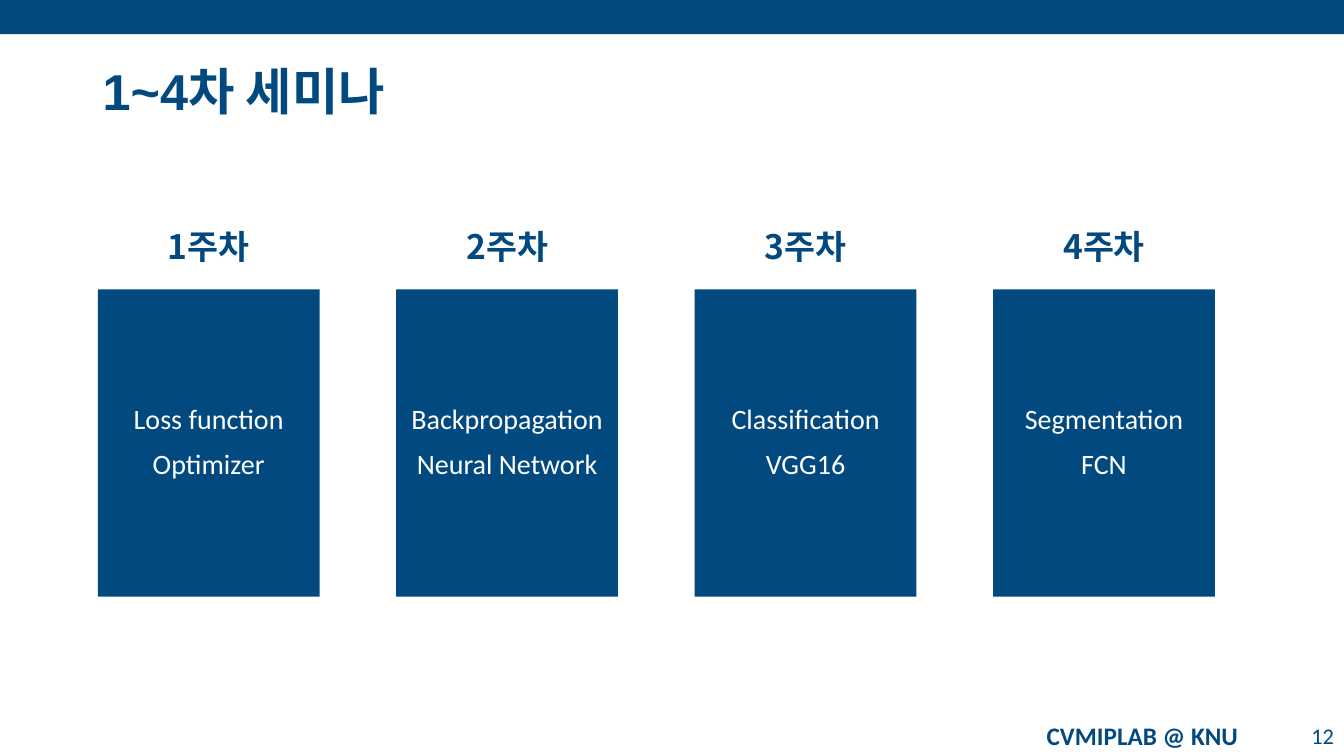
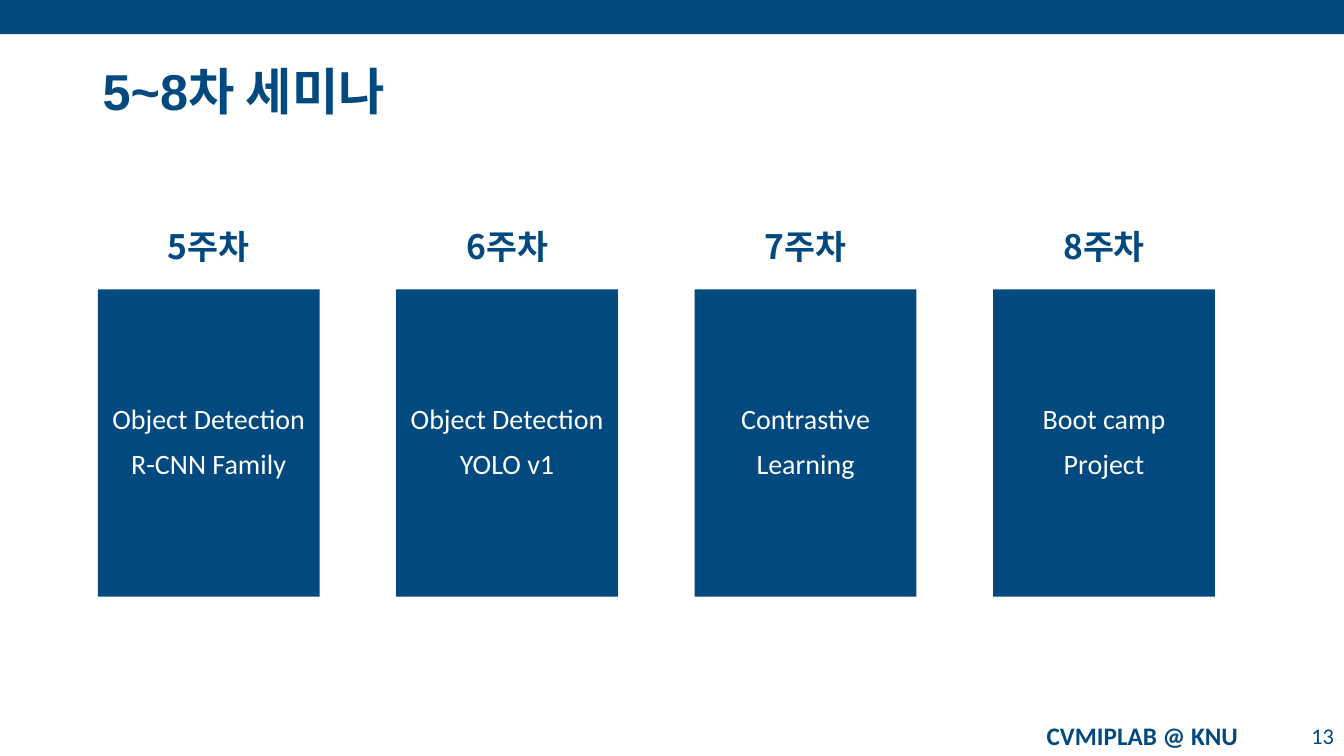
from dataclasses import dataclass

from lxml.etree import SubElement
from pptx import Presentation
from pptx.dml.color import RGBColor
from pptx.enum.shapes import MSO_SHAPE
from pptx.enum.text import MSO_ANCHOR, PP_ALIGN
from pptx.oxml.ns import qn
from pptx.shapes.autoshape import Shape
from pptx.slide import Slide
from pptx.util import Inches, Pt

COLORS = {"navy": "02497F", "white": "FFFFFF"}
KOREAN_FONT = "Noto Sans CJK KR"
SLIDE_WIDTH, SLIDE_HEIGHT = 13.33, 7.5
GRID_LEFT, COLUMN_WIDTH, COLUMN_GAP = 0.97, 2.2, 0.76
LABEL_TOP, LABEL_HEIGHT = 2.09, 0.71
CARD_TOP, CARD_HEIGHT = 2.87, 3.05
FOOTER_TOP, FOOTER_HEIGHT = 7.1, 0.4


@dataclass(frozen=True)
class Area:
    left: float
    top: float
    width: float
    height: float

    def emu(self) -> tuple[int, int, int, int]:
        """Return the four lengths in drawing units."""
        return Inches(self.left), Inches(self.top), Inches(self.width), Inches(self.height)


@dataclass(frozen=True)
class TextStyle:
    size: int
    font: str = "Calibri"
    color: str = "navy"
    bold: bool = False
    align: PP_ALIGN = PP_ALIGN.CENTER
    line_spacing: float = 1.0
    paragraph_gap: int = 0


@dataclass(frozen=True)
class Seminar:
    title: str
    page: int
    first_week: int
    topics: tuple[str, ...]


TITLE = TextStyle(36, "Arial", bold=True, align=PP_ALIGN.LEFT, line_spacing=0.9)
WEEK = TextStyle(24, KOREAN_FONT, bold=True)
TOPIC = TextStyle(20, color="white", line_spacing=0.9, paragraph_gap=10)
LAB = TextStyle(18, bold=True)
PAGE = TextStyle(16, align=PP_ALIGN.RIGHT)

SEMINARS = (
    Seminar("1~4차 세미나", 12, 1, (
        "Loss function\nOptimizer",
        "Backpropagation\nNeural Network",
        "Classification\nVGG16",
        "Segmentation\nFCN",
    )),
    Seminar("5~8차 세미나", 13, 5, (
        "Object Detection\nR-CNN Family",
        "Object Detection\nYOLO v1",
        "Contrastive\nLearning",
        "Boot camp\nProject",
    )),
)


def write(shape: Shape, text: str, style: TextStyle) -> None:
    """Fill a shape with vertically centred, styled text."""
    frame = shape.text_frame
    frame.text = text
    frame.word_wrap = True
    frame.vertical_anchor = MSO_ANCHOR.MIDDLE
    for index, paragraph in enumerate(frame.paragraphs):
        paragraph.alignment = style.align
        paragraph.line_spacing = style.line_spacing
        paragraph.space_before = Pt(style.paragraph_gap if index else 0)
        for run in paragraph.runs:
            run.font.size = Pt(style.size)
            run.font.bold = style.bold
            run.font.color.rgb = RGBColor.from_string(COLORS[style.color])
            run.font.name = style.font
            SubElement(run.font._element, qn("a:ea"), typeface=KOREAN_FONT)


def add_text(slide: Slide, area: Area, text: str, style: TextStyle) -> None:
    """Add a text box."""
    write(slide.shapes.add_textbox(*area.emu()), text, style)


def add_block(slide: Slide, area: Area) -> Shape:
    """Add a plain navy rectangle."""
    block = slide.shapes.add_shape(MSO_SHAPE.RECTANGLE, *area.emu())
    block.shadow.inherit = False
    block.fill.solid()
    block.fill.fore_color.rgb = RGBColor.from_string(COLORS["navy"])
    block.line.fill.background()
    return block


def add_frame(slide: Slide, title: str, page: int) -> None:
    """Add the band, footer and title that every slide shares."""
    add_block(slide, Area(0, 0, SLIDE_WIDTH, 0.34))
    add_text(slide, Area(9.93, FOOTER_TOP, 2.8, FOOTER_HEIGHT), "CVMIPLAB @ KNU", LAB)
    add_text(slide, Area(12.73, FOOTER_TOP, 0.6, FOOTER_HEIGHT), str(page), PAGE)
    add_text(slide, Area(0.92, 0.45, 11.5, 0.96), title, TITLE)


def add_week(slide: Slide, column: int, week: int, topic: str) -> None:
    """Add one week's heading and topic card in its grid column."""
    left = GRID_LEFT + column * (COLUMN_WIDTH + COLUMN_GAP)
    card = add_block(slide, Area(left, CARD_TOP, COLUMN_WIDTH, CARD_HEIGHT))
    write(card, topic, TOPIC)
    add_text(slide, Area(left, LABEL_TOP, COLUMN_WIDTH, LABEL_HEIGHT), f"{week}주차", WEEK)


def main() -> None:
    """Build and save the seminar slides."""
    deck = Presentation()
    deck.slide_width, deck.slide_height = Inches(SLIDE_WIDTH), Inches(SLIDE_HEIGHT)
    for seminar in SEMINARS:
        slide = deck.slides.add_slide(deck.slide_layouts[6])
        add_frame(slide, seminar.title, seminar.page)
        for column, topic in enumerate(seminar.topics):
            add_week(slide, column, seminar.first_week + column, topic)
    deck.save("out.pptx")


if __name__ == "__main__":
    main()
